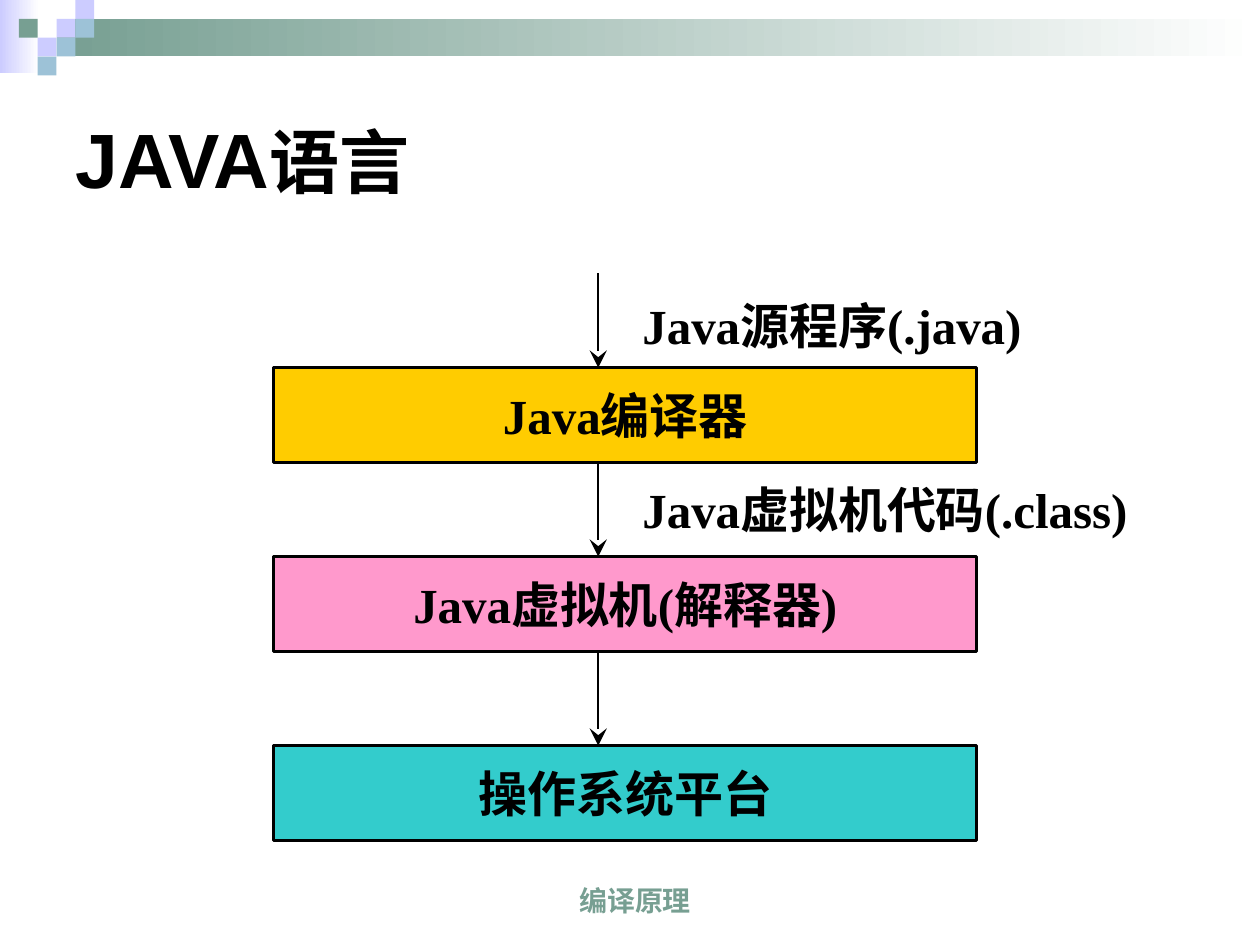
from lxml import etree
from pptx import Presentation
from pptx.dml.color import RGBColor
from pptx.enum.shapes import MSO_CONNECTOR, MSO_SHAPE
from pptx.enum.text import MSO_ANCHOR, PP_ALIGN
from pptx.oxml.ns import qn
from pptx.util import Cm, Pt

RECT, STRAIGHT = MSO_SHAPE.RECTANGLE, MSO_CONNECTOR.STRAIGHT
LEFT, CENTER = PP_ALIGN.LEFT, PP_ALIGN.CENTER
MIDDLE, BOTTOM = MSO_ANCHOR.MIDDLE, MSO_ANCHOR.BOTTOM

TITLE = [("JAVA", 44), ("语言", 40)]
FOOTER = "编译原理"
# Each stage: its name, its colour, the input that flows into it, the input label's width and height
STAGES = [
    ("Java编译器", "FFCC00", "Java源程序(.java)", 8.9, 1.7),
    ("Java虚拟机(解释器)", "FF99CC", "Java虚拟机代码(.class)", 11.1, 1.91),
    ("操作系统平台", "33CCCC", None, 0, 0),
]
LILAC, BLUE, GREEN, WHITE, BLACK = "CCCCFF", "9DC2D7", "779F92", "FFFFFF", "000000"
# Column, row and colour of each mosaic tile
TILES = [(3, 1, LILAC), (4, 0, LILAC), (4, 1, BLUE), (2, 2, LILAC),
         (1, 1, GREEN), (3, 2, BLUE), (2, 3, BLUE)]
TILE = 0.38

STAGE_LEFT, STAGE_TOP, STAGE_WIDTH, STAGE_HEIGHT = 5.52, 7.41, 14.17, 1.91
STAGE_STEP = 3.81
ARROW_X, LABEL_LEFT = 12.06, 12.7


def rgb(hex_colour):
    return RGBColor.from_string(hex_colour)


def write(frame, text, size=28, font="Times New Roman", colour=BLACK,
          align=CENTER, anchor=MIDDLE, wrap=False):
    """Fill a frame with one bold paragraph; text is a string or (text, size) runs."""
    frame.word_wrap = wrap
    frame.vertical_anchor = anchor
    paragraph = frame.paragraphs[0]
    paragraph.alignment = align
    for part, part_size in [(text, size)] if isinstance(text, str) else text:
        run = paragraph.add_run()
        run.text = part
        run.font.size = Pt(part_size)
        run.font.name = font
        run.font.bold = True
        run.font.color.rgb = rgb(colour)


def add_rect(left, top, width, height, fill, fade_to=None, outline=None):
    rect = slide.shapes.add_shape(RECT, Cm(left), Cm(top), Cm(width), Cm(height))
    rect.shadow.inherit = False
    if fade_to:
        rect.fill.gradient()
        rect.fill.gradient_angle = 0
        for stop, colour, position in zip(rect.fill.gradient_stops, (fill, fade_to), (0, 1)):
            stop.color.rgb = rgb(colour)
            stop.position = position
    else:
        rect.fill.solid()
        rect.fill.fore_color.rgb = rgb(fill)
    if outline:
        rect.line.color.rgb = rgb(outline)
        rect.line.width = Pt(1.5)
    else:
        rect.line.fill.background()
    return rect


def add_text(left, top, width, height, text, **style):
    box = slide.shapes.add_textbox(Cm(left), Cm(top), Cm(width), Cm(height))
    write(box.text_frame, text, **style)


def add_down_arrow(x, top, bottom):
    arrow = slide.shapes.add_connector(STRAIGHT, Cm(x), Cm(top), Cm(x), Cm(bottom))
    arrow.line.color.rgb = rgb(BLACK)
    arrow.line.width = Pt(1)
    etree.SubElement(arrow.line._get_or_add_ln(), qn("a:tailEnd"),
                     type="stealth", w="lg", len="lg")
    etree.SubElement(arrow._element.spPr, qn("a:effectLst"))


prs = Presentation()
prs.slide_width, prs.slide_height = Cm(25.4), Cm(19.05)
slide = prs.slides.add_slide(prs.slide_layouts[5])

add_rect(0, 0, 0.79, 1.47, LILAC, fade_to=WHITE)
add_rect(3 * TILE, TILE, 25.4 - 3 * TILE, 2 * TILE, GREEN, fade_to=WHITE)
for column, row, colour in TILES:
    add_rect(column * TILE, row * TILE, TILE, TILE, colour)

title = slide.shapes.title
title.left, title.top, title.width, title.height = Cm(1.27), Cm(1.27), Cm(22.86), Cm(3.81)
write(title.text_frame, TITLE, font="Arial", align=LEFT, wrap=True)

for index, (stage, colour, label, label_width, label_height) in enumerate(STAGES):
    top = STAGE_TOP + index * STAGE_STEP
    box = add_rect(STAGE_LEFT, top, STAGE_WIDTH, STAGE_HEIGHT, colour, outline=BLACK)
    write(box.text_frame, stage)
    add_down_arrow(ARROW_X, top - (STAGE_STEP - STAGE_HEIGHT), top)
    if label:
        add_text(LABEL_LEFT, top - label_height, label_width, label_height, label, align=LEFT)

add_text(8.31, 17.35, 8.99, 1.27, FOOTER, size=16, font="Arial", colour=GREEN,
         anchor=BOTTOM, wrap=True)

prs.save("out.pptx")
